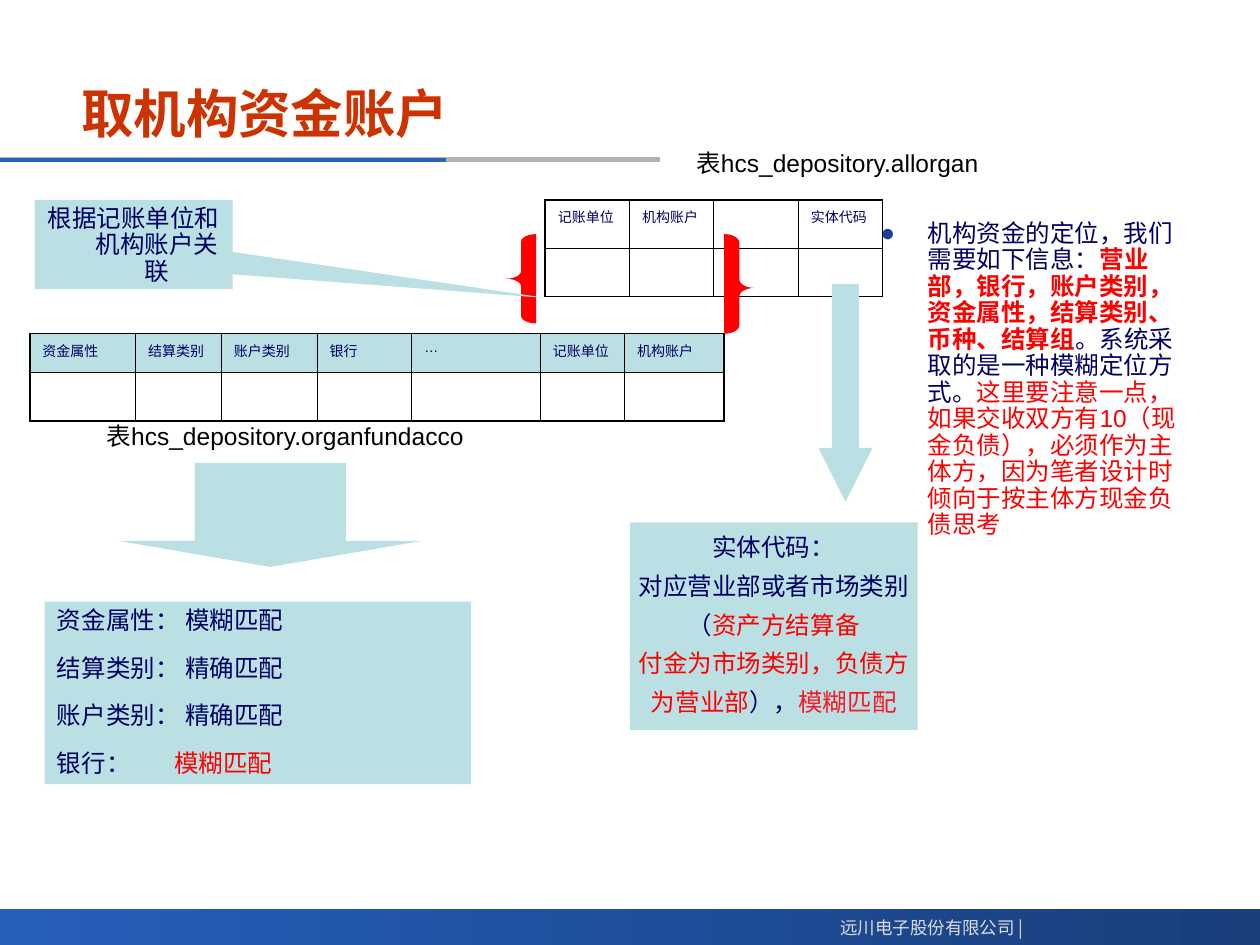
import pptx
import pptx.util
import pptx.dml.color
import pptx.enum.shapes
import pptx.enum.text
import pptx.oxml
import pptx.oxml.ns
from lxml import etree

Cm = pptx.util.Cm
Pt = pptx.util.Pt
RGBColor = pptx.dml.color.RGBColor
SHAPE = pptx.enum.shapes.MSO_SHAPE
ALIGN = pptx.enum.text.PP_ALIGN
ANCHOR = pptx.enum.text.MSO_ANCHOR
qn = pptx.oxml.ns.qn

NAVY = RGBColor(0x00, 0x00, 0x64)
RED = RGBColor(0xFF, 0x00, 0x00)
CRIMSON = RGBColor(0xFA, 0x16, 0x26)
ORANGE = RGBColor(0xCC, 0x33, 0x00)
BLACK = RGBColor(0x00, 0x00, 0x00)
PALE_TEAL = RGBColor(0xBB, 0xE0, 0xE3)
BULLET_BLUE = RGBColor(0x18, 0x40, 0x98)
RULE_GREY = RGBColor(0xB2, 0xB2, 0xB2)
RULE_BLUE = RGBColor(0x2A, 0x60, 0xC0)
BAR_DARK = RGBColor(0x19, 0x3F, 0x7C)
BAR_LIGHT = RGBColor(0x26, 0x5F, 0xBC)
FOOTER_GREY = RGBColor(0xDD, 0xDD, 0xDD)


def write_text(text_frame, paragraphs, size=14, alignment=ALIGN.LEFT, before=3.5,
               after=3.5, spacing=0.9, hanging=0, font="Arial"):
    """Each paragraph is a list of (text, colour) or (text, colour, bold)."""
    for index, runs in enumerate(paragraphs):
        paragraph = text_frame.add_paragraph() if index else text_frame.paragraphs[0]
        paragraph.alignment = alignment
        paragraph.line_spacing = spacing
        paragraph.space_before = Pt(before if index else 0)
        paragraph.space_after = Pt(after)
        if hanging:
            properties = paragraph._p.get_or_add_pPr()
            properties.set("marL", str(Cm(hanging)))
            properties.set("indent", str(-Cm(hanging)))
            properties.set("hangingPunct", "0")
        for text, color, *bold in runs:
            run = paragraph.add_run()
            run.text = text
            run.font.name = font
            run.font.size = Pt(size)
            run.font.bold = bool(bold)
            run.font.color.rgb = color


def add_filled(kind, left, top, width, height, color, adjustments=()):
    shape = slide.shapes.add_shape(kind, Cm(left), Cm(top), Cm(width), Cm(height))
    shape.shadow.inherit = False
    shape.fill.solid()
    shape.fill.fore_color.rgb = color
    shape.line.fill.background()
    for index, value in enumerate(adjustments):
        shape.adjustments[index] = value
    return shape


presentation = pptx.Presentation()
presentation.slide_width = Cm(25.4)
presentation.slide_height = Cm(19.05)
slide = presentation.slides.add_slide(presentation.slide_layouts[5])

# Footer bar
footer_bar = add_filled(SHAPE.RECTANGLE, 0, 18.33, 25.4, 0.72, BAR_DARK)
footer_bar.fill.gradient()
footer_bar.fill.gradient_angle = 180
for stop, color in zip(footer_bar.fill.gradient_stops, (BAR_DARK, BAR_LIGHT)):
    stop.color.rgb = color

# Rules under the title
for end, color, width in ((13.31, RULE_GREY, 3), (9, RULE_BLUE, 2.25)):
    rule = slide.shapes.add_connector(
        pptx.enum.shapes.MSO_CONNECTOR.STRAIGHT, Cm(0), Cm(3.22), Cm(end), Cm(3.22))
    rule.line.color.rgb = color
    rule.line.width = Pt(width)
    etree.SubElement(rule._element.spPr, qn("a:effectLst"))

# Footer text
footer = slide.shapes.add_textbox(Cm(16.54), Cm(18.36), Cm(4.34), Cm(0.69))
footer.text_frame.word_wrap = False
write_text(footer.text_frame, [[("远川电子股份有限公司 |", FOOTER_GREY)]], size=10,
           alignment=ALIGN.RIGHT, after=0, spacing=1.0, font="Noto Sans CJK SC")

# Title
title = slide.shapes.title
title.left, title.top, title.width, title.height = Cm(1.38), Cm(1.42), Cm(17.58), Cm(1.7)
title.text_frame.auto_size = pptx.enum.text.MSO_AUTO_SIZE.NONE
title.text_frame.vertical_anchor = ANCHOR.MIDDLE
write_text(title.text_frame, [[("取机构资金账户", ORANGE, True)]], size=30,
           after=0, spacing=1.0)

# Explanation on the right
explanation = slide.shapes.add_textbox(Cm(17.5), Cm(4.33), Cm(6.83), Cm(13.21))
explanation.text_frame.word_wrap = True
write_text(explanation.text_frame, [[
    ("机构资金的定位，我们需要如下信息：", NAVY),
    ("营业部，银行，账户类别，资金属性，结算类别、币种、结算组", RED, True),
    ("。系统采取的是一种模糊定位方式。", NAVY),
    ("这里要注意一点，如果交收双方有10（现金负债），必须作为主体方，"
     "因为笔者设计时倾向于按主体方现金负债思考", RED),
]], hanging=0.95)
bullet_properties = explanation.text_frame.paragraphs[0]._p.get_or_add_pPr()
bullet_color = etree.SubElement(bullet_properties, qn("a:buClr"))
etree.SubElement(bullet_color, qn("a:srgbClr"), val=str(BULLET_BLUE))
etree.SubElement(bullet_properties, qn("a:buFont"), typeface="Arial")
etree.SubElement(bullet_properties, qn("a:buChar"), char="●")

# Tables: left, top, column widths, row heights, headings, heading fill
tables = (
    (0.6, 6.72, (2.13, 1.73, 1.93, 1.91, 2.59, 1.7, 2.01), (0.79, 0.61),
     ("资金属性", "结算类别", "账户类别", "银行", "…", "记账单位", "机构账户"), PALE_TEAL),
    (10.99, 4.03, (1.7,) * 4, (0.61, 0.61),
     ("记账单位", "机构账户", "", "实体代码"), None),
)
for left, top, widths, heights, headings, heading_fill in tables:
    table = slide.shapes.add_table(
        len(heights), len(widths), Cm(left), Cm(top),
        Cm(sum(widths)), Cm(sum(heights))).table
    table.first_row = False
    table.horz_banding = False
    for column, width in zip(table.columns, widths):
        column.width = Cm(width)
    for row, height in zip(table.rows, heights):
        row.height = Cm(height)
    last_row, last_column = len(heights) - 1, len(widths) - 1
    for row_index in range(len(heights)):
        for column_index, heading in enumerate(headings):
            cell = table.cell(row_index, column_index)
            outer_edges = {"L": column_index == 0, "R": column_index == last_column,
                           "T": row_index == 0, "B": row_index == last_row}
            for side, outer in outer_edges.items():
                border = etree.SubElement(cell._tc.get_or_add_tcPr(), qn("a:ln" + side),
                                          w=str(Pt(1.08 if outer else 0.45)))
                border_fill = etree.SubElement(border, qn("a:solidFill"))
                etree.SubElement(border_fill, qn("a:srgbClr"), val=str(BLACK))
            if row_index == 0 and heading_fill:
                cell.fill.solid()
                cell.fill.fore_color.rgb = heading_fill
            else:
                cell.fill.background()
            if row_index == 0 and heading:
                write_text(cell.text_frame, [[(heading, NAVY)]], size=8,
                           after=2, spacing=1.0)
            else:  # the font size of an empty cell sets its row height
                etree.SubElement(cell.text_frame.paragraphs[0]._p,
                                 qn("a:endParaRPr"), sz="1700")

# Braces around the joined columns
add_filled(SHAPE.LEFT_BRACE, 10.2, 4.72, 0.61, 1.8, RED, (0.25, 0.5))
add_filled(SHAPE.RIGHT_BRACE, 14.6, 4.72, 0.61, 2.01, RED, (0.28, 0.54))

# Callout on the join
callout = add_filled(SHAPE.RECTANGULAR_CALLOUT, 0.7, 4.03, 3.99, 1.8, PALE_TEAL,
                     (2.09, 0.6))
callout.text_frame.vertical_anchor = ANCHOR.TOP
write_text(callout.text_frame, [[("根据记账单位和机构账户关联", NAVY)]],
           alignment=ALIGN.CENTER, hanging=0.95)

# Table captions
for left, top, width, caption in (
        (1.9, 8.43, 9.6, "表hcs_depository.organfundacco"),
        (13.79, 2.92, 7.49, "表hcs_depository.allorgan")):
    caption_box = slide.shapes.add_textbox(Cm(left), Cm(top), Cm(width), Cm(0.79))
    caption_box.text_frame.word_wrap = True
    write_text(caption_box.text_frame, [[(caption, BLACK)]])

# Entity code branch
add_filled(SHAPE.DOWN_ARROW, 16.5, 5.73, 1.09, 4.39, PALE_TEAL, (0.5, 1))
entity_box = add_filled(SHAPE.RECTANGLE, 12.7, 10.53, 5.8, 4.19, PALE_TEAL)
entity_box.text_frame.word_wrap = False
entity_box.text_frame.vertical_anchor = ANCHOR.MIDDLE
write_text(entity_box.text_frame, [
    [("实体代码：", NAVY)],
    [("对应营业部或者市场类别", NAVY)],
    [("（", NAVY), ("资产方结算备", RED)],
    [("付金为市场类别，负债方", RED)],
    [("为营业部", RED), ("），", NAVY), ("模糊匹配", CRIMSON)],
], alignment=ALIGN.CENTER)

# Matching rules branch
matching_box = add_filled(SHAPE.RECTANGLE, 0.9, 12.13, 8.6, 3.68, PALE_TEAL)
matching_box.text_frame.vertical_anchor = ANCHOR.TOP
write_text(matching_box.text_frame, [
    [("资金属性： 模糊匹配", NAVY)],
    [("结算类别： 精确匹配", NAVY)],
    [("账户类别： 精确匹配", NAVY)],
    [("银行：\t", NAVY), ("模糊匹配", RED)],
], before=8.8)
bank_properties = matching_box.text_frame.paragraphs[-1]._p.get_or_add_pPr()
tab_list = etree.SubElement(bank_properties, qn("a:tabLst"))
etree.SubElement(tab_list, qn("a:tab"), pos=str(Cm(2.36)), algn="l")
add_filled(SHAPE.DOWN_ARROW, 2.4, 9.33, 6.1, 2.1, PALE_TEAL, (0.5, 0.25))

presentation.save("out.pptx")
